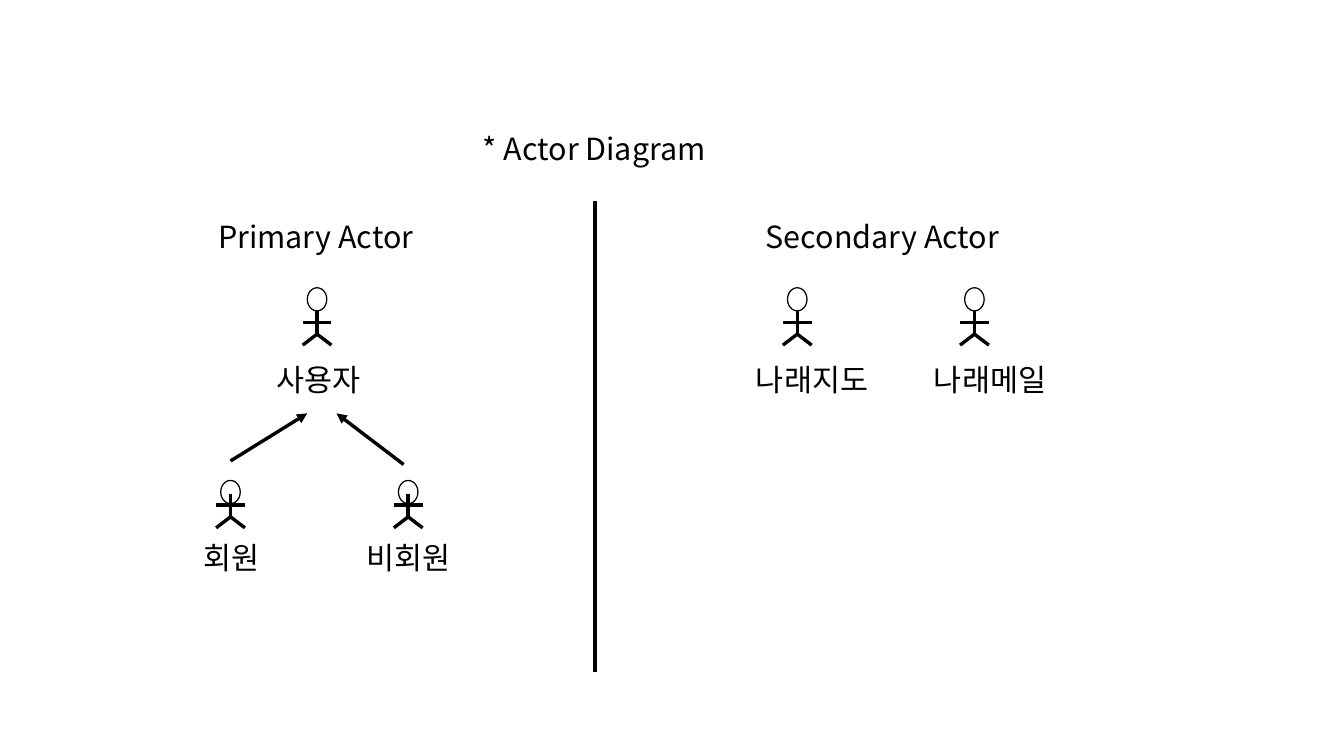
"""Build an actor diagram slide with primary and secondary actors."""
import pptx
import pptx.dml.color
import pptx.enum.shapes
import pptx.enum.text
import pptx.oxml.ns
import pptx.util
from lxml import etree

Pt = pptx.util.Pt
BLACK = pptx.dml.color.RGBColor(0x00, 0x00, 0x00)
WHITE = pptx.dml.color.RGBColor(0xFF, 0xFF, 0xFF)
FONT = "Noto Sans CJK KR"
qualified = pptx.oxml.ns.qn

presentation = pptx.Presentation()
presentation.slide_width = Pt(793.44)
presentation.slide_height = Pt(446.4)
slide = presentation.slides.add_slide(presentation.slide_layouts[6])


def add_line(start_x, start_y, end_x, end_y, arrow=False):
    connector = slide.shapes.add_connector(
        pptx.enum.shapes.MSO_CONNECTOR.STRAIGHT,
        Pt(start_x), Pt(start_y), Pt(end_x), Pt(end_y))
    connector.line.color.rgb = BLACK
    connector.line.width = Pt(0)
    if arrow:
        etree.SubElement(connector.line._get_or_add_ln(), qualified("a:tailEnd"), type="triangle")
    etree.SubElement(connector._element.spPr, qualified("a:effectLst"))


def add_label(text, left, top, width, height):
    box = slide.shapes.add_textbox(Pt(left), Pt(top), Pt(width), Pt(height))
    frame = box.text_frame
    frame.word_wrap = True
    frame.auto_size = pptx.enum.text.MSO_AUTO_SIZE.SHAPE_TO_FIT_TEXT
    paragraph = frame.paragraphs[0]
    paragraph.text = text
    paragraph.font.size = Pt(18)
    paragraph.font.name = FONT
    paragraph.font.color.rgb = BLACK
    properties = paragraph._p.pPr.find(qualified("a:defRPr"))
    etree.SubElement(properties, qualified("a:ea"), typeface=FONT)


for heading, left, top in [
    ("* Actor Diagram", 277.9, 73.4),
    ("Primary Actor", 121.7, 125.3),
    ("Secondary Actor", 445, 125.3),
]:
    add_label(heading, left, top, 232.6, 33.1)

UPPER_ROW = (169.9, 197.3, 209.5)
LOWER_ROW = (283.7, 305.2, 314.6)
actors = [
    ("사용자", 187.2, 156.2, UPPER_ROW),
    ("회원", 136.1, 113, LOWER_ROW),
    ("비회원", 241, 209.5, LOWER_ROW),
    ("나래지도", 470.7, 439.2, UPPER_ROW),
    ("나래메일", 575.3, 544.3, UPPER_ROW),
]
for name, center, label_left, (head_top, hip, label_top) in actors:
    head = slide.shapes.add_shape(
        pptx.enum.shapes.MSO_SHAPE.OVAL,
        Pt(center - 5.75), Pt(head_top), Pt(11.5), Pt(13.7))
    head.shadow.inherit = False
    head.fill.solid()
    head.fill.fore_color.rgb = WHITE
    head.line.color.rgb = BLACK
    head.line.width = Pt(0)
    add_line(center, hip - 13.7, center, hip)
    add_line(center - 8.5, hip - 6.9, center + 8.5, hip - 6.9)
    for foot in (center - 8.5, center + 8.5):
        add_line(center, hip, foot, hip + 6.5)
    add_label(name, label_left, label_top, 85, 59)

add_line(351.4, 118.8, 351.4, 396.7)
add_line(136.1, 272.2, 181.4, 244.1, arrow=True)
add_line(238.3, 274.3, 198.7, 244.1, arrow=True)

presentation.save("out.pptx")
